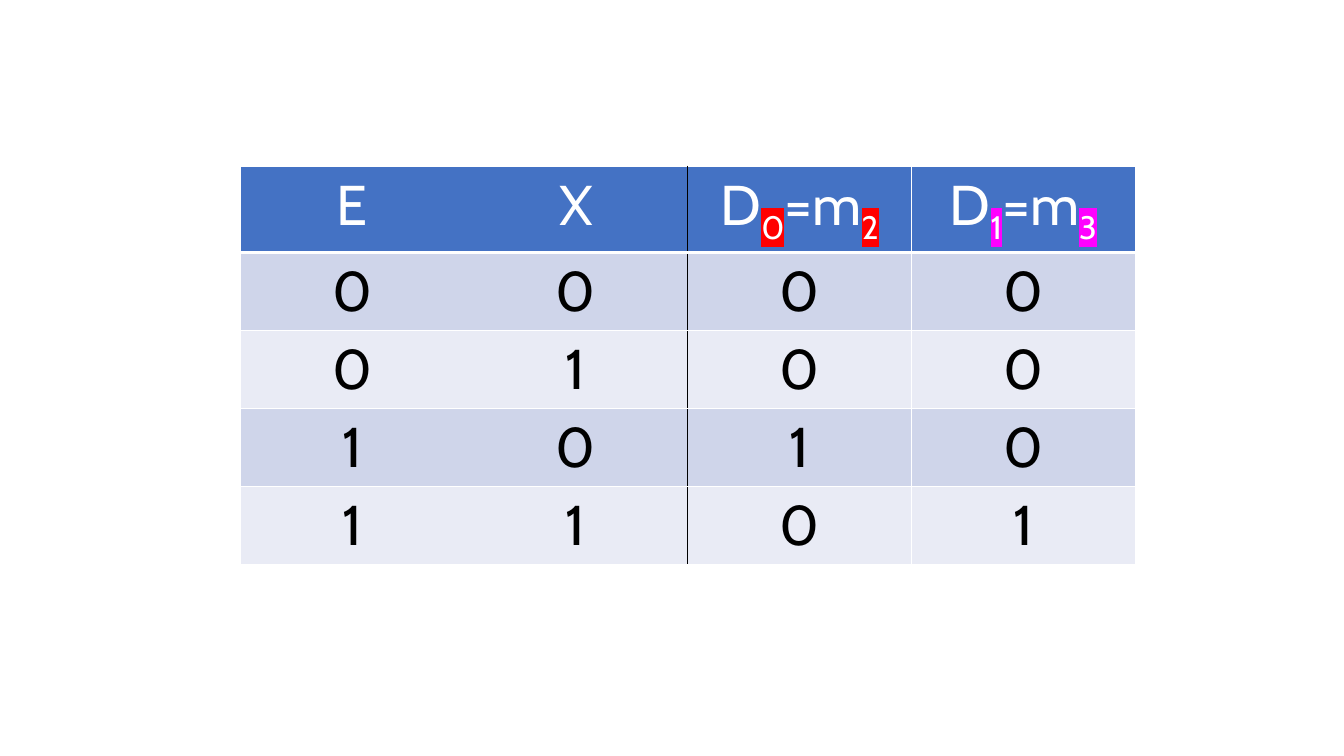
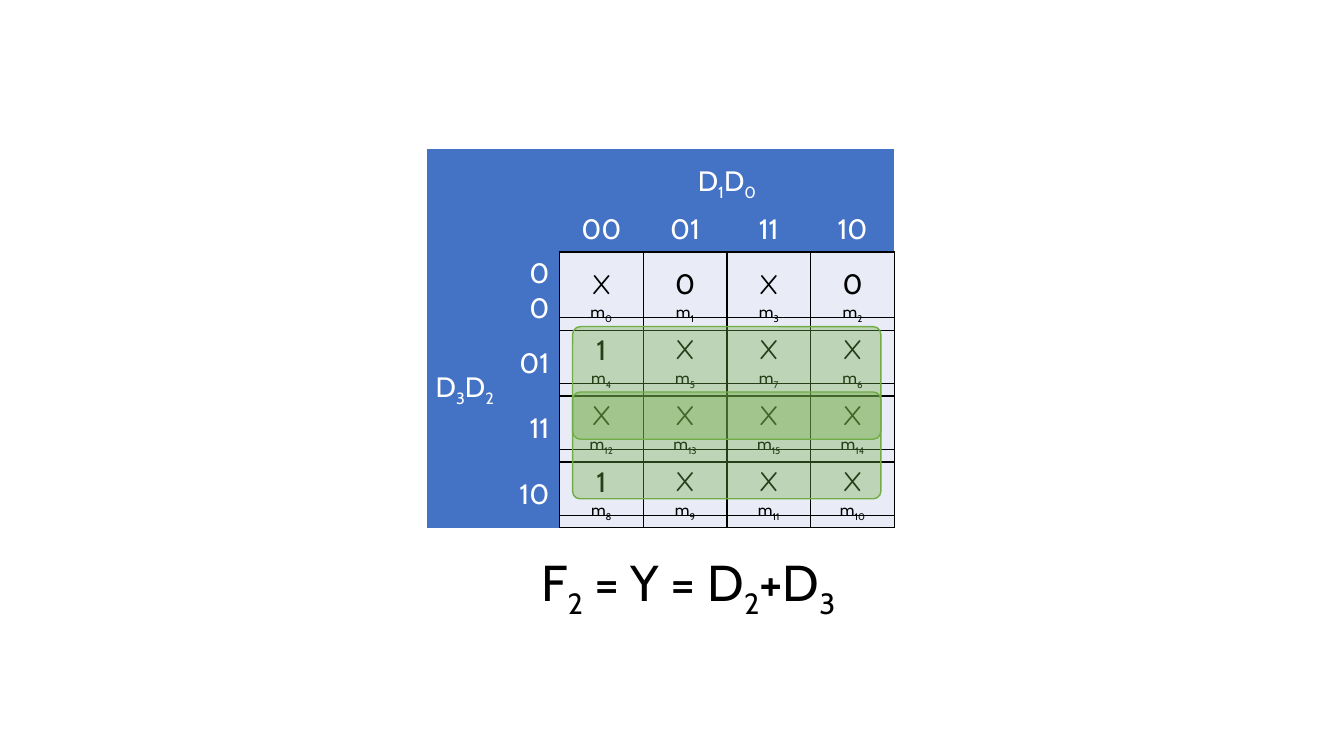
from pptx import Presentation
from pptx.dml.color import RGBColor
from pptx.enum.shapes import MSO_SHAPE as Shape
from pptx.enum.text import MSO_ANCHOR as Anchor, MSO_AUTO_SIZE as AutoSize, PP_ALIGN as Align
from pptx.oxml.ns import qn
from pptx.util import Cm, Pt
from lxml.etree import SubElement

BLUE, WHITE, BLACK = "4472C4", "FFFFFF", "000000"
BANDS = ["CFD5EA", "E9EBF5"]
MINTERM_FILL, GROUP_GREEN = "E9EBF6", "70AD47"
RED, MAGENTA = "FF0000", "FF00FF"
BODY_FONT, DONT_CARE_FONT = "Cabin", "Comic Neue"
SIDES = {"l": "a:lnL", "r": "a:lnR", "t": "a:lnT", "b": "a:lnB"}
BLACK_BOX = {side: (BLACK, 1) for side in SIDES}

TRUTH_HEADERS = [("E", None), ("X", None), ("D|0|=m|2", RED), ("D|1|=m|3", MAGENTA)]
TRUTH_ROWS = ["0000", "0100", "1010", "1101"]
GRAY_CODES = ["00", "01", "11", "10"]
MAP_VALUES = ["X0X0", "1XXX", "XXXX", "1XXX"]

MAP_LEFT, MAP_TOP = 10.77, 3.76
LABEL_WIDTHS = [1.93, 1.4]
HEADER_HEIGHTS = [1.47, 1.04]
CELL_WIDTH, CELL_HEIGHT = 2.11, 1.66


def rgb(value):
    return RGBColor.from_string(value)


def write_text(frame, text, size=20, color=BLACK, font=BODY_FONT,
               align=Align.LEFT, highlight=None):
    paragraph = frame.paragraphs[0]
    paragraph.alignment = align
    for index, part in enumerate(text.split("|")):
        if not part:
            continue
        run = paragraph.add_run()
        run.text = part
        run.font.size = Pt(size)
        run.font.color.rgb = rgb(color)
        run.font.name = font
        if index % 2:
            properties = run._r.get_or_add_rPr()
            properties.set("baseline", "-25000")
            if highlight:
                mark = SubElement(properties, qn("a:highlight"))
                SubElement(mark, qn("a:srgbClr"), val=highlight)
                properties.find(qn("a:solidFill")).addnext(mark)


def style_cell(cell, fill=None, borders=None):
    properties = cell._tc.get_or_add_tcPr()
    for side, tag in SIDES.items():
        color, width = (borders or {}).get(side, (None, 0))
        line = SubElement(properties, qn(tag), w=str(Pt(width)))
        if color:
            solid = SubElement(line, qn("a:solidFill"))
            SubElement(solid, qn("a:srgbClr"), val=color)
        else:
            SubElement(line, qn("a:noFill"))
    if fill:
        cell.fill.solid()
        cell.fill.fore_color.rgb = rgb(fill)
    else:
        cell.fill.background()


def write_cell(cell, text, anchor=Anchor.TOP, align=Align.CENTER, **text_format):
    cell.vertical_anchor = anchor
    write_text(cell.text_frame, text, align=align, **text_format)


def add_grid(slide, left, top, widths, heights):
    grid = slide.shapes.add_table(len(heights), len(widths), Cm(left), Cm(top),
                                  Cm(sum(widths)), Cm(sum(heights))).table
    grid.first_row = grid.horz_banding = False
    for column, width in zip(grid.columns, widths):
        column.width = Cm(width)
    for row, height in zip(grid.rows, heights):
        row.height = Cm(height)
    return grid


def add_truth_table(slide):
    grid = add_grid(slide, 6.05, 4.19, [5.64] * 4, [1.95] * 5)
    verticals = [WHITE, None, BLACK, WHITE, WHITE]
    rules = [1, 3, 1, 1, 1, 1]
    for row in range(5):
        for column in range(4):
            cell = grid.cell(row, column)
            borders = {"l": (verticals[column], 1), "r": (verticals[column + 1], 1),
                       "t": (WHITE, rules[row]), "b": (WHITE, rules[row + 1])}
            if row == 0:
                style_cell(cell, BLUE, borders)
                label, highlight = TRUTH_HEADERS[column]
                write_cell(cell, label, size=40, color=WHITE, highlight=highlight)
            else:
                style_cell(cell, BANDS[(row - 1) % 2], borders)
                write_cell(cell, TRUTH_ROWS[row - 1][column], size=40)


def add_minterm_map(slide):
    grid = add_grid(slide, MAP_LEFT, MAP_TOP, LABEL_WIDTHS + [CELL_WIDTH] * 4,
                    HEADER_HEIGHTS + [CELL_HEIGHT] * 4)
    for row in range(6):
        for column in range(6):
            cell = grid.cell(row, column)
            if row >= 2 and column >= 2:
                style_cell(cell, MINTERM_FILL, BLACK_BOX)
                minterm = int(GRAY_CODES[row - 2] + GRAY_CODES[column - 2], 2)
                write_cell(cell, f"m|{minterm}", Anchor.BOTTOM, size=12)
            elif row == 1 and column >= 2:
                style_cell(cell, BLUE, {"b": (BLACK, 1)})
                write_cell(cell, GRAY_CODES[column - 2], Anchor.BOTTOM, color=WHITE)
            elif row >= 2 and column == 1:
                style_cell(cell, BLUE, {"r": (BLACK, 1)})
                write_cell(cell, GRAY_CODES[row - 2], Anchor.MIDDLE, Align.RIGHT, color=WHITE)
            else:
                style_cell(cell, BLUE)
    column_variables, row_variables = grid.cell(0, 2), grid.cell(2, 0)
    column_variables.merge(grid.cell(0, 5))
    row_variables.merge(grid.cell(5, 0))
    row_variables.margin_left = 0
    write_cell(column_variables, "D|1|D|0", Anchor.BOTTOM, color=WHITE)
    write_cell(row_variables, "D|3|D|2", Anchor.MIDDLE, Align.RIGHT, color=WHITE)


def add_map_values(slide):
    grid = add_grid(slide, MAP_LEFT + sum(LABEL_WIDTHS), 6.35,
                    [CELL_WIDTH] * 4, [CELL_HEIGHT] * 4)
    for row, values in enumerate(MAP_VALUES):
        for column, value in enumerate(values):
            cell = grid.cell(row, column)
            style_cell(cell, borders=BLACK_BOX)
            write_cell(cell, value, Anchor.MIDDLE,
                       font=DONT_CARE_FONT if value == "X" else BODY_FONT)


def add_group(slide, top, height):
    group = slide.shapes.add_shape(Shape.ROUNDED_RECTANGLE, Cm(14.43), Cm(top),
                                   Cm(7.77), Cm(height))
    group.adjustments[0] = 0.07
    group.shadow.inherit = False
    group.fill.solid()
    group.fill.fore_color.rgb = rgb(GROUP_GREEN)
    tint = group._element.spPr.find(qn("a:solidFill"))[0]
    SubElement(tint, qn("a:alpha"), val="36000")
    group.line.color.rgb = rgb(GROUP_GREEN)
    group.line.width = Pt(1)


def add_equation(slide, text):
    frame = slide.shapes.add_textbox(Cm(13.39), Cm(13.77), Cm(9.07), Cm(1.8)).text_frame
    frame.word_wrap = False
    frame.auto_size = AutoSize.SHAPE_TO_FIT_TEXT
    write_text(frame, text, size=36)


def main():
    deck = Presentation()
    deck.slide_width, deck.slide_height = Cm(33.87), Cm(19.05)
    blank = deck.slide_layouts[6]

    add_truth_table(deck.slides.add_slide(blank))

    map_slide = deck.slides.add_slide(blank)
    add_minterm_map(map_slide)
    add_equation(map_slide, "F|2| = Y = D|2|+D|3")
    add_map_values(map_slide)
    add_group(map_slide, 8.23, 2.84)
    add_group(map_slide, 9.88, 2.69)

    deck.save("out.pptx")


if __name__ == "__main__":
    main()
